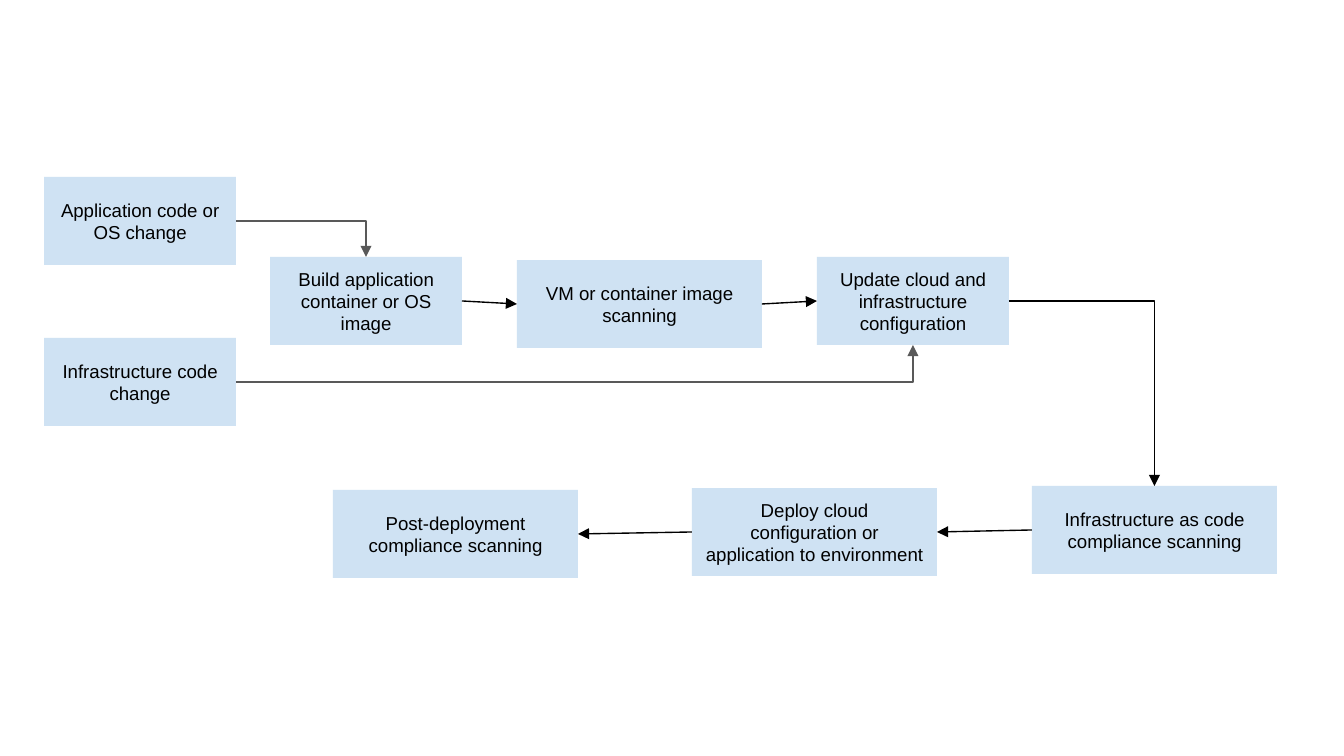
from lxml import etree
from pptx import Presentation
from pptx import util as u
from pptx.dml.color import RGBColor
from pptx.enum import shapes, text
from pptx.oxml.ns import qn

COLORS = {"box": "CFE2F3", "text": "000000", "black": "000000", "gray": "595959"}
SMALL, WIDE, HIGH = 192, 245, 88
INSET = 13

# name: (text, left, top, width)
STEPS = {
    "app": ("Application code or OS change", 44, 177, SMALL),
    "infra": ("Infrastructure code change", 44, 338, SMALL),
    "build": ("Build application container or OS image", 270, 257, SMALL),
    "image": ("VM or container image scanning", 517, 260, WIDE),
    "update": ("Update cloud and infrastructure configuration", 817, 257, SMALL),
    "scan": ("Infrastructure as code compliance scanning", 1032, 486, WIDE),
    "deploy": ("Deploy cloud configuration or application to environment", 692, 488, WIDE),
    "post": ("Post-deployment compliance scanning", 333, 490, WIDE),
}

# Connection sites of a rectangle
TOP, LEFT, BOTTOM, RIGHT = range(4)

# from, site, to, site, color
LINKS = [
    ("app", RIGHT, "build", TOP, "gray"),
    ("infra", RIGHT, "update", BOTTOM, "gray"),
    ("build", RIGHT, "image", LEFT, "black"),
    ("image", RIGHT, "update", LEFT, "black"),
    ("update", RIGHT, "scan", TOP, "black"),
    ("scan", LEFT, "deploy", RIGHT, "black"),
    ("deploy", LEFT, "post", RIGHT, "black"),
]


def px(n):
    return u.Emu(round(n * 914400 / 134.4))


def rgb(name):
    return RGBColor.from_string(COLORS[name])


def add_step(slide, label, left, top, width):
    box = slide.shapes.add_shape(
        shapes.MSO_SHAPE.RECTANGLE, px(left), px(top), px(width), px(HIGH))
    box.shadow.inherit = False
    box.fill.solid()
    box.fill.fore_color.rgb = rgb("box")
    box.line.fill.background()
    frame = box.text_frame
    frame.word_wrap = True
    frame.vertical_anchor = text.MSO_ANCHOR.MIDDLE
    frame.margin_left = frame.margin_right = px(INSET)
    frame.margin_top = frame.margin_bottom = px(INSET)
    frame.text = label
    para = frame.paragraphs[0]
    para.alignment = text.PP_ALIGN.CENTER
    para.font.name = "Arial"
    para.font.size = u.Pt(10)
    para.font.color.rgb = rgb("text")
    return box


def add_link(slide, start, out, end, into, color):
    """Join two boxes with an arrow, bent once if it enters from above or below."""
    bent = into in (TOP, BOTTOM)
    kind = shapes.MSO_CONNECTOR.ELBOW if bent else shapes.MSO_CONNECTOR.STRAIGHT
    link = slide.shapes.add_connector(kind, 0, 0, 0, 0)
    link.begin_connect(start, out)
    link.end_connect(end, into)
    link.line.width = u.Pt(0.75)
    link.line.color.rgb = rgb(color)
    props = link._element.spPr
    if bent:
        props.find(qn("a:prstGeom")).set("prst", "bentConnector2")
    etree.SubElement(props.find(qn("a:ln")), qn("a:tailEnd"), type="triangle")
    etree.SubElement(props, qn("a:effectLst"))


def main():
    deck = Presentation()
    deck.slide_width, deck.slide_height = px(1344), px(756)
    slide = deck.slides.add_slide(deck.slide_layouts[6])
    boxes = {name: add_step(slide, *step) for name, step in STEPS.items()}
    for start, out, end, into, color in LINKS:
        add_link(slide, boxes[start], out, boxes[end], into, color)
    deck.save("out.pptx")


if __name__ == "__main__":
    main()
